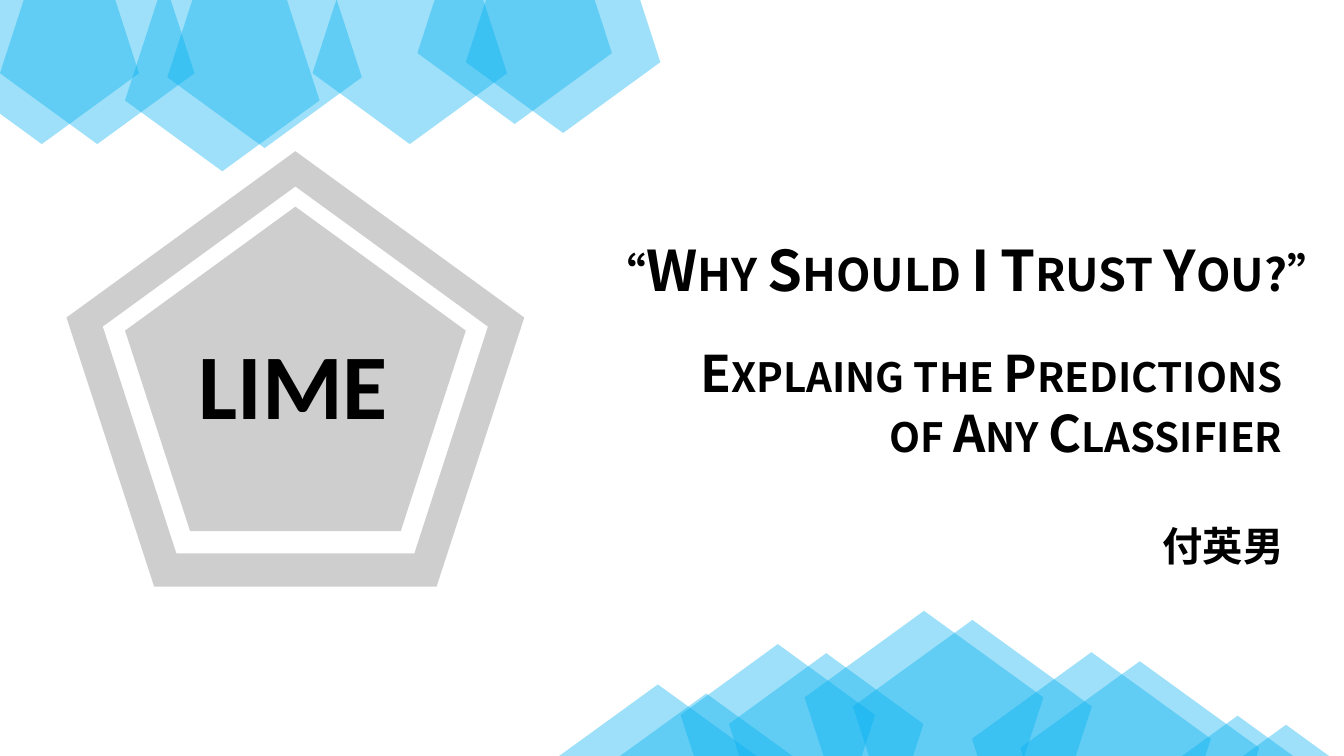
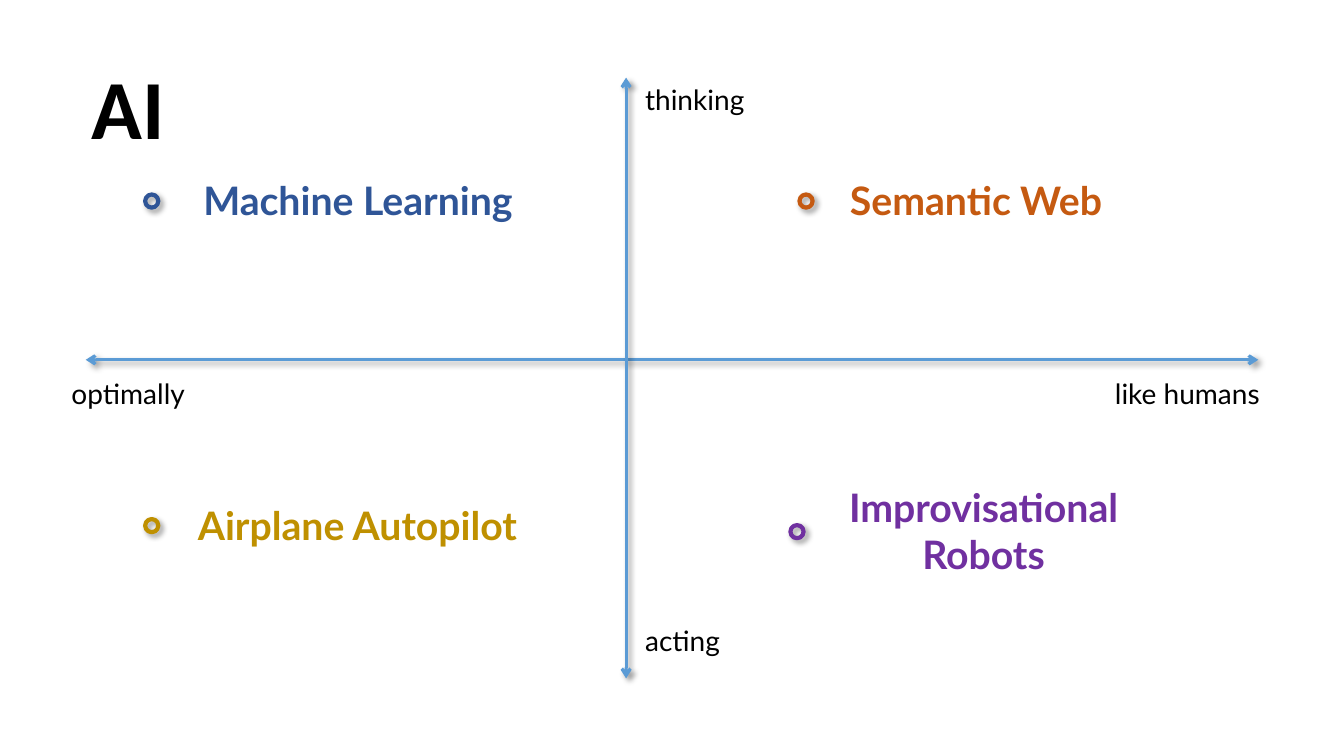
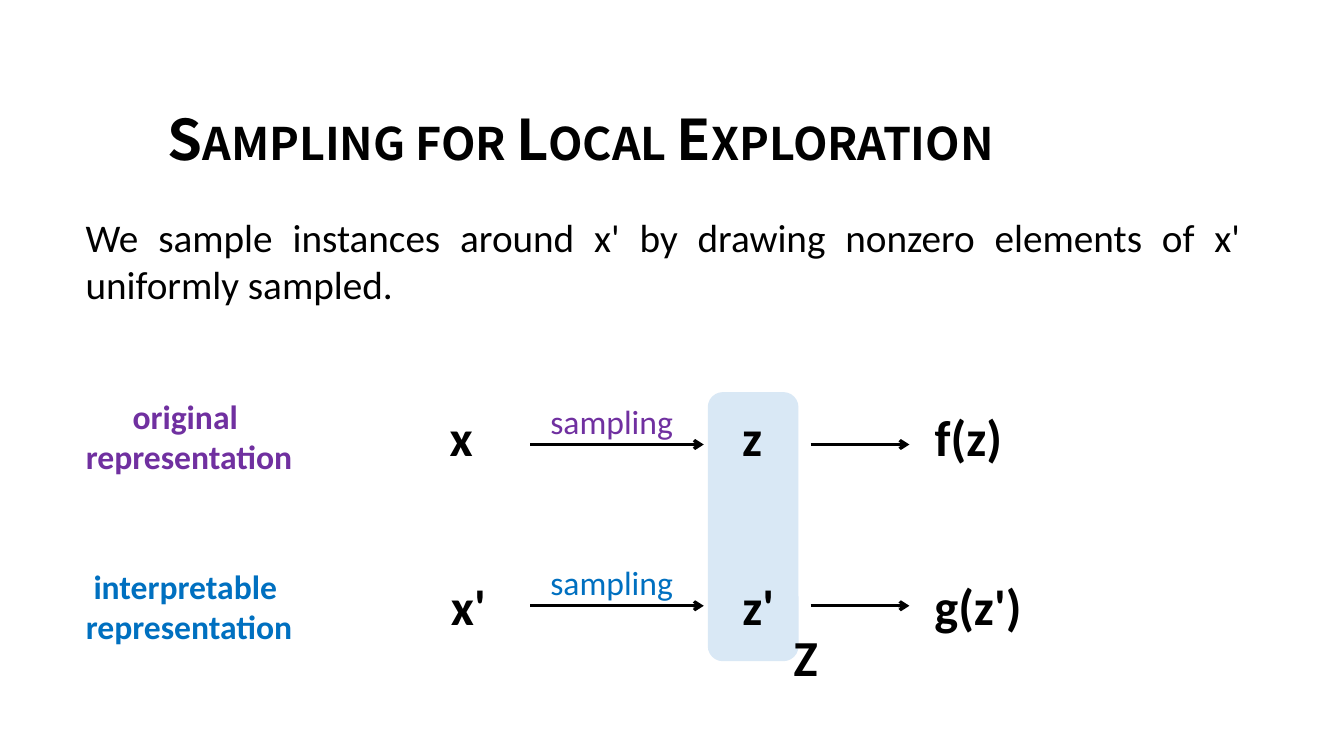
"""Build a three-slide talk on LIME: cover, AI quadrant and sampling diagram."""
from dataclasses import dataclass

from lxml.etree import SubElement
from pptx import Presentation
from pptx.dml.color import RGBColor
from pptx.enum.shapes import MSO_CONNECTOR, MSO_SHAPE
from pptx.enum.text import MSO_AUTO_SIZE, PP_ALIGN
from pptx.oxml.ns import qn
from pptx.shapes.autoshape import Shape
from pptx.slide import Slide
from pptx.util import Inches, Pt


@dataclass(frozen=True)
class Theme:
    """Colours, fonts and type sizes shared by all slides."""
    black: str = "000000"
    sky: str = "00B0F0"
    gray: str = "808080"
    axis: str = "5B9BD5"
    panel: str = "9DC3E6"
    navy: str = "2F5597"
    orange: str = "C55A11"
    gold: str = "BF9000"
    purple: str = "7030A0"
    blue: str = "0070C0"
    title_font: str = "Noto Sans CJK SC"
    body_font: str = "Calibri"
    label_font: str = "Lato"
    badge: int = 66
    heading: int = 60
    title: int = 40
    symbol: int = 36
    body: int = 28
    note: int = 24
    label: int = 20
    opacity: int = 38


T = Theme()


@dataclass(frozen=True)
class Box:
    """A rectangle in inches."""
    x: float
    y: float
    w: float
    h: float

    def emu(self) -> tuple[int, int, int, int]:
        """Return the rectangle as lengths."""
        return Inches(self.x), Inches(self.y), Inches(self.w), Inches(self.h)


@dataclass(frozen=True)
class Topic:
    """A coloured ring and its caption."""
    text: str
    color: str
    ring: tuple[float, float]
    box: Box


@dataclass(frozen=True)
class Row:
    """One representation and its sampling chain."""
    name: str
    color: str
    top: float
    arrow_y: float
    symbols: tuple[tuple[str, float, float], ...]


def add_text(s: Slide, text: str, box: Box, *, size: int, font: str = T.body_font,
             color: str = T.black, bold: bool = False, small_caps: bool = False,
             align: PP_ALIGN = PP_ALIGN.LEFT, wrap: bool = False,
             inset: tuple[float, float] = (0.1, 0.05), spacing: int | None = None) -> None:
    """Add a text box with one paragraph per line of text."""
    tf = s.shapes.add_textbox(*box.emu()).text_frame
    tf.word_wrap = wrap
    tf.auto_size = MSO_AUTO_SIZE.SHAPE_TO_FIT_TEXT
    tf.margin_left = tf.margin_right = Inches(inset[0])
    tf.margin_top = tf.margin_bottom = Inches(inset[1])
    for i, line in enumerate(text.split("\n")):
        p = tf.add_paragraph() if i else tf.paragraphs[0]
        p.alignment = align
        if spacing:
            p.line_spacing = Pt(spacing)
        r = p.add_run()
        r.text = line
        r.font.size = Pt(size)
        r.font.bold = bold
        r.font.name = font
        r.font.color.rgb = RGBColor.from_string(color)
        rpr = r.font._element
        SubElement(rpr, qn("a:ea")).set("typeface", font)
        if small_caps:
            rpr.set("cap", "small")


def add_title(s: Slide, text: str, box: Box, *, size: int = T.title,
              align: PP_ALIGN = PP_ALIGN.RIGHT, wrap: bool = False,
              spacing: int | None = None) -> None:
    """Add bold small-caps title text."""
    add_text(s, text, box, size=size, font=T.title_font, bold=True, small_caps=True,
             align=align, wrap=wrap, inset=(0.08, 0.04), spacing=spacing)


def tint(sp: Shape, color: str) -> None:
    """Give a shape a translucent fill, no outline and no shadow."""
    sp.shadow.inherit = False
    sp.line.fill.background()
    sp.fill.solid()
    sp.fill.fore_color.rgb = RGBColor.from_string(color)
    clr = sp._element.spPr.find(qn("a:solidFill"))[0]
    SubElement(clr, qn("a:alpha")).set("val", str(T.opacity * 1000))


def add_tinted(s: Slide, kind: MSO_SHAPE, box: Box, color: str) -> Shape:
    """Add a translucent preset shape."""
    sp = s.shapes.add_shape(kind, *box.emu())
    tint(sp, color)
    return sp


def drop_shadow(effects) -> None:
    """Put a soft lower-right shadow in an effect list."""
    shadow = SubElement(effects, qn("a:outerShdw"), blurRad=str(Pt(4)), dist=str(Pt(3)),
                        dir=str(45 * 60000), algn="tl", rotWithShape="0")
    clr = SubElement(shadow, qn("a:srgbClr"), val=T.black)
    SubElement(clr, qn("a:alpha"), val="40000")


def add_arrow(s: Slide, start: tuple[float, float], end: tuple[float, float], *,
              color: str = T.black, double: bool = False, shadow: bool = False) -> None:
    """Add a straight arrow with one or two heads."""
    cx = s.shapes.add_connector(MSO_CONNECTOR.STRAIGHT, *map(Inches, start + end))
    cx.line.color.rgb = RGBColor.from_string(color)
    cx.line.width = Pt(2.25)
    ln = cx.line._get_or_add_ln()
    for tag in ("a:headEnd", "a:tailEnd") if double else ("a:tailEnd",):
        SubElement(ln, qn(tag), type="arrow")
    effects = SubElement(cx._element.spPr, qn("a:effectLst"))
    if shadow:
        drop_shadow(effects)


def add_topic(s: Slide, topic: Topic) -> None:
    """Add a ring marker with its caption."""
    sp = s.shapes.add_shape(MSO_SHAPE.OVAL, *Box(*topic.ring, 0.13, 0.13).emu())
    sp.fill.background()
    sp.line.color.rgb = RGBColor.from_string(topic.color)
    sp.line.width = Pt(3)
    sp.shadow.inherit = False
    drop_shadow(sp._element.spPr.find(qn("a:effectLst")))
    add_text(s, topic.text, topic.box, size=T.body, font=T.label_font, color=topic.color,
             bold=True, align=PP_ALIGN.CENTER, wrap=True)


def add_frame(s: Slide) -> None:
    """Add the pentagonal frame around the badge."""
    inner = [(2.93, 1.85), (1.02, 3.24), (1.75, 5.49), (4.11, 5.49), (4.84, 3.24)]
    outer = [(2.93, 1.5), (5.2, 3.15), (4.33, 5.82), (1.53, 5.82), (0.66, 3.15)]
    inner, outer = ([(Inches(x), Inches(y)) for x, y in ring] for ring in (inner, outer))
    fb = s.shapes.build_freeform(*inner[0])
    fb.add_line_segments(inner[1:], close=True)
    fb.move_to(*outer[0])
    fb.add_line_segments(outer[1:], close=True)
    tint(fb.convert_to_shape(), T.gray)


def build_cover(s: Slide) -> None:
    """Draw the cover."""
    small, large = (1.93, 1.84), (2.37, 2.25)
    for x, y in ((-0.55, -0.41), (0, -0.41), (1.24, -0.14), (1.66, -0.37),
                 (4.62, -0.52), (3.1, -0.41), (4.14, -0.61)):
        sp = add_tinted(s, MSO_SHAPE.REGULAR_PENTAGON, Box(x, y, *small), T.sky)
        sp._element.spPr.xfrm.set("flipV", "1")
    add_tinted(s, MSO_SHAPE.REGULAR_PENTAGON, Box(1.24, 2.05, 3.38, 3.22), T.gray)
    add_frame(s)
    add_text(s, "LIME", Box(1.77, 3.2, 2.28, 1.21), size=T.badge, bold=True,
             align=PP_ALIGN.CENTER, wrap=True)
    for x, y, size in ((6.75, 6.39, small), (7.98, 6.06, large), (9.64, 6.47, large),
                       (11.09, 7.1, large), (5.34, 6.79, large)):
        for dx, dy in ((0.48, 0.09), (0, 0)):
            add_tinted(s, MSO_SHAPE.REGULAR_PENTAGON, Box(x + dx, y + dy, *size), T.sky)
    add_title(s, "“Why Should I Trust You?”", Box(5.04, 2.3, 8.25, 0.74))
    add_title(s, "Explaing the Predictions\nof Any Classifier",
              Box(6.55, 3.35, 6.25, 1.28), size=T.symbol)
    add_title(s, "付英男", Box(11.15, 5.03, 1.66, 0.68), size=T.symbol)


def build_quadrant(s: Slide) -> None:
    """Draw the AI quadrant."""
    add_text(s, "AI", Box(0.13, 0.5, 2.28, 1.11), size=T.heading, bold=True,
             align=PP_ALIGN.CENTER, wrap=True)
    for start, end in (((0.85, 3.57), (12.48, 3.57)), ((6.21, 6.73), (6.21, 0.77))):
        add_arrow(s, start, end, color=T.axis, double=True, shadow=True)
    for text, x, y, w in (("like humans", 10.96, 3.69, 1.87), ("optimally", 0.61, 3.69, 1.52),
                          ("thinking", 6.3, 0.77, 1.36), ("acting", 6.3, 6.14, 1.06)):
        add_text(s, text, Box(x, y, w, 0.44), size=T.label, font=T.label_font)
    for topic in (
        Topic("Airplane Autopilot", T.gold, (1.44, 5.15), Box(1.35, 4.92, 4.39, 0.57)),
        Topic("Improvisational Robots", T.purple, (7.84, 5.21), Box(7.84, 4.75, 3.83, 1.04)),
        Topic("Machine Learning", T.navy, (1.44, 1.93), Box(1.57, 1.7, 3.96, 0.57)),
        Topic("Semantic Web", T.orange, (7.93, 1.93), Box(7.62, 1.7, 4.12, 0.57)),
    ):
        add_topic(s, topic)


def add_symbol(s: Slide, text: str, x: float, y: float, w: float) -> None:
    """Add a large bold symbol."""
    add_text(s, text, Box(x, y, w, 0.71), size=T.symbol, bold=True, align=PP_ALIGN.CENTER)


def build_sampling(s: Slide) -> None:
    """Draw the sampling diagram."""
    add_tinted(s, MSO_SHAPE.ROUNDED_RECTANGLE, Box(7.02, 3.89, 0.9, 2.67), T.panel)
    add_title(s, "Sampling for Local Exploration", Box(0.65, 0.55, 10.22, 1.19),
              align=PP_ALIGN.CENTER, wrap=True, spacing=80)
    add_text(s, "We sample instances around x' by drawing nonzero elements of x' "
             "uniformly sampled.", Box(0.75, 2.07, 11.65, 1.04), size=T.body,
             align=PP_ALIGN.JUSTIFY, wrap=True)
    for row in (
        Row("original \nrepresentation", T.purple, 3.88, 4.41,
            (("x", 4.35, 0.45), ("z", 7.25, 0.42), ("f(z)", 9.15, 0.91))),
        Row("interpretable \nrepresentation", T.blue, 5.56, 6.01,
            (("x'", 4.35, 0.59), ("z'", 7.24, 0.56), ("g(z')", 9.15, 1.1))),
    ):
        add_text(s, row.name, Box(0.75, row.top, 2.25, 0.91), size=T.note, color=row.color,
                 bold=True, align=PP_ALIGN.CENTER)
        for text, x, w in row.symbols:
            add_symbol(s, text, x, row.top + 0.1, w)
        for x1, x2 in ((5.26, 6.98), (8.04, 9.02)):
            add_arrow(s, (x1, row.arrow_y), (x2, row.arrow_y))
        add_text(s, "sampling", Box(5.36, row.arrow_y - 0.48, 1.42, 0.5), size=T.note,
                 color=row.color)
    add_symbol(s, "Z", 7.77, 6.16, 0.44)


def main() -> None:
    """Build and save the presentation."""
    prs = Presentation()
    prs.slide_width, prs.slide_height = Inches(13.33), Inches(7.5)
    for build in (build_cover, build_quadrant, build_sampling):
        build(prs.slides.add_slide(prs.slide_layouts[6]))
    prs.save("out.pptx")


if __name__ == "__main__":
    main()
